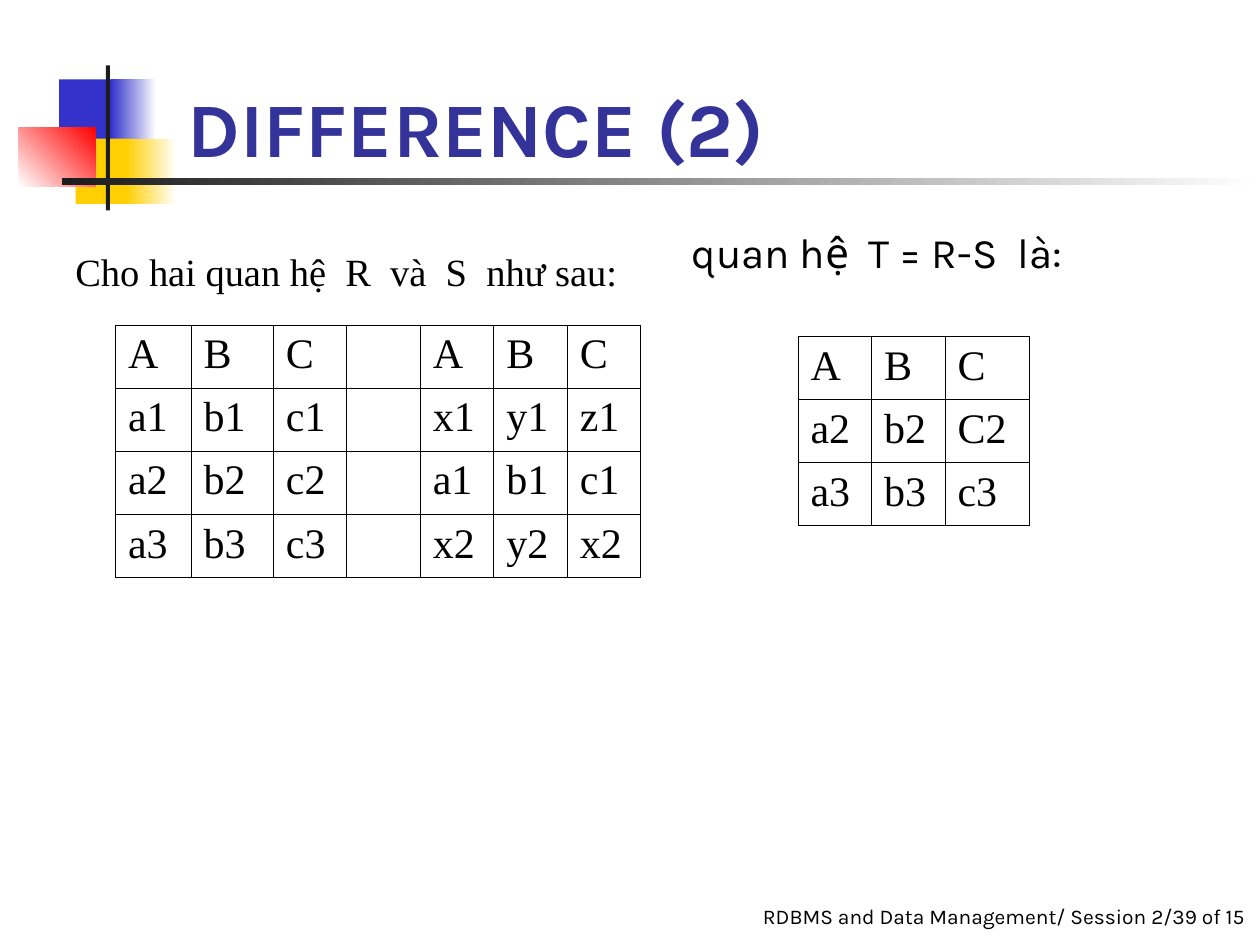
from dataclasses import dataclass

from lxml import etree
from pptx import Presentation
from pptx import util as u
from pptx.dml.color import RGBColor
from pptx.enum import shapes, text
from pptx.oxml import ns

Pt = u.Pt


@dataclass(frozen=True)
class Theme:
    heading_font: str = "Karla"
    body_font: str = "Times New Roman"
    title: str = "333399"
    ink: str = "000000"
    blue: str = "3333CC"
    yellow: str = "FFCF01"
    red: str = "FF0000"
    dark: str = "1C1C1C"
    paper: str = "FFFFFF"
    title_size: float = 44
    table_size: float = 24
    intro_size: float = 22
    footer_size: float = 12
    border: float = 0.45


THEME = Theme()


@dataclass(frozen=True)
class Block:
    """A decorative rectangle; a second colour makes it a gradient."""
    left: float
    top: float
    width: float
    height: float
    color: str
    end: str = ""
    angle: float = 0


@dataclass(frozen=True)
class Label:
    left: float
    top: float
    width: float
    height: float
    words: str
    font: str
    size: float


@dataclass(frozen=True)
class Relation:
    left: float
    top: float
    columns: tuple
    rows: tuple
    hanging: float = 0


ROW_HEIGHT = 36

BLOCKS = (
    Block(33.8, 45.4, 34.6, 37.4, THEME.blue),
    Block(63.4, 45.4, 25.9, 37.4, THEME.blue, THEME.paper),
    Block(43.2, 79.2, 33.1, 37.4, THEME.yellow),
    Block(72, 79.2, 28.8, 37.4, THEME.yellow, THEME.paper),
    Block(10.8, 73.1, 44, 33.4, THEME.paper, THEME.red, 45),
    Block(60.5, 37.4, 2.3, 82.8, THEME.dark),
    Block(35.3, 101.7, 684.7, 4.3, THEME.dark, THEME.paper),
)

LABELS = (
    Label(36, 138.2, 329, 33.8, "Cho hai quan hệ  R  và  S  như sau:",
          THEME.body_font, THEME.intro_size),
    Label(388.1, 126, 239, 36, "quan hệ  T = R-S  là:",
          THEME.heading_font, THEME.table_size),
)

RELATIONS = (
    Relation(66, 185.8, (43.2, 47) + (42,) * 5, (
        ("A", "B", "C", "", "A", "B", "C"),
        ("a1", "b1", "c1", "", "x1", "y1", "z1"),
        ("a2", "b2", "c2", "", "a1", "b1", "c1"),
        ("a3", "b3", "c3", "", "x2", "y2", "x2"),
    ), 27),
    Relation(456, 192.2, (42, 42, 48), (
        ("A", "B", "C"),
        ("a2", "b2", "C2"),
        ("a3", "b3", "c3"),
    )),
)


def add_span(para, words: str, font: str, size: float,
             color: str = THEME.ink, bold: bool = False) -> None:
    span = para.add_run()
    span.text = words
    span.font.name = font
    span.font.size = Pt(size)
    span.font.bold = bold
    span.font.color.rgb = RGBColor.from_string(color)


def add_block(group, block: Block) -> None:
    shape = group.shapes.add_shape(
        shapes.MSO_SHAPE.RECTANGLE, Pt(block.left), Pt(block.top),
        Pt(block.width), Pt(block.height))
    shape.shadow.inherit = False
    shape.line.fill.background()
    if block.end:
        shape.fill.gradient()
        shape.fill.gradient_angle = block.angle
        for stop, color in zip(shape.fill.gradient_stops,
                               (block.color, block.end)):
            stop.color.rgb = RGBColor.from_string(color)
    else:
        shape.fill.solid()
        shape.fill.fore_color.rgb = RGBColor.from_string(block.color)


def add_label(page, label: Label):
    box = page.shapes.add_textbox(Pt(label.left), Pt(label.top),
                                  Pt(label.width), Pt(label.height))
    frame = box.text_frame
    frame.word_wrap = False
    frame.auto_size = text.MSO_AUTO_SIZE.SHAPE_TO_FIT_TEXT
    frame.vertical_anchor = text.MSO_ANCHOR.MIDDLE
    add_span(frame.paragraphs[0], label.words, label.font, label.size)
    return frame


def outline_cell(cell) -> None:
    properties = cell._tc.get_or_add_tcPr()
    for position, side in enumerate(("lnL", "lnR", "lnT", "lnB")):
        line = etree.Element(ns.qn(f"a:{side}"), w=str(Pt(THEME.border)))
        fill = etree.SubElement(line, ns.qn("a:solidFill"))
        etree.SubElement(fill, ns.qn("a:srgbClr"), val=THEME.ink)
        properties.insert(position, line)


def add_relation(page, relation: Relation) -> None:
    table = page.shapes.add_table(
        len(relation.rows), len(relation.columns),
        Pt(relation.left), Pt(relation.top), Pt(sum(relation.columns)),
        Pt(ROW_HEIGHT * len(relation.rows))).table
    table.first_row = table.horz_banding = False
    for column, width in zip(table.columns, relation.columns):
        column.width = Pt(width)
    for r, values in enumerate(relation.rows):
        table.rows[r].height = Pt(ROW_HEIGHT)
        for c, value in enumerate(values):
            cell = table.cell(r, c)
            cell.fill.background()
            outline_cell(cell)
            if not value:
                continue
            para = cell.text_frame.paragraphs[0]
            para.alignment = text.PP_ALIGN.JUSTIFY
            if relation.hanging:
                indent = Pt(relation.hanging)
                para._p.get_or_add_pPr().set("marL", str(indent))
                para._p.get_or_add_pPr().set("indent", str(-indent))
            add_span(para, value, THEME.body_font, THEME.table_size)


def add_title(page, words: str) -> None:
    title = page.shapes.title
    title.left, title.top = Pt(100), Pt(12.2)
    title.width, title.height = Pt(613.5), Pt(90)
    frame = title.text_frame
    frame.auto_size = text.MSO_AUTO_SIZE.NONE
    frame.vertical_anchor = text.MSO_ANCHOR.BOTTOM
    para = frame.paragraphs[0]
    para.alignment = text.PP_ALIGN.LEFT
    add_span(para, words, THEME.heading_font, THEME.title_size,
             THEME.title, bold=True)


def add_footer(page) -> None:
    frame = add_label(page, Label(
        426.2, 512.6, 288, 38.2,
        "RDBMS and Data Management/ Session 2/39 of 15",
        THEME.heading_font, THEME.footer_size))
    frame.word_wrap = True
    frame.vertical_anchor = text.MSO_ANCHOR.TOP
    frame.margin_right = Pt(0)
    frame.paragraphs[0].alignment = text.PP_ALIGN.CENTER


def main() -> None:
    deck = Presentation()
    deck.slide_width, deck.slide_height = Pt(720), Pt(540)
    page = deck.slides.add_slide(deck.slide_layouts[5])
    add_footer(page)
    ornament = page.shapes.add_group_shape()
    for block in BLOCKS:
        add_block(ornament, block)
    add_title(page, "DIFFERENCE (2)")
    for relation in RELATIONS:
        add_relation(page, relation)
    for label in LABELS:
        add_label(page, label)
    deck.save("out.pptx")


if __name__ == "__main__":
    main()
